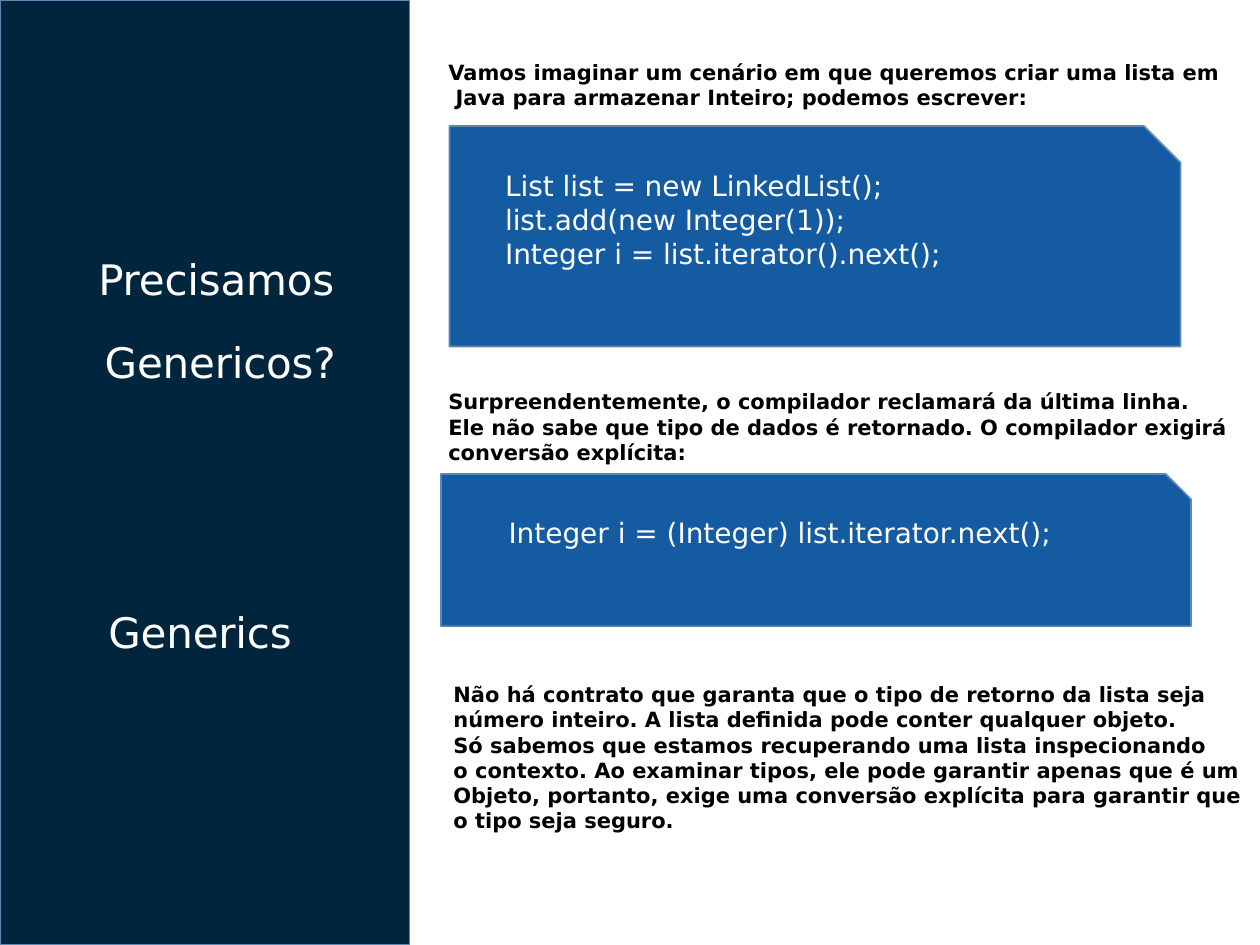
import dataclasses
import pptx
import pptx.dml.color
import pptx.enum.shapes
import pptx.enum.text
import pptx.util

Pt = pptx.util.Pt
RGB = pptx.dml.color.RGBColor.from_string
Shape = pptx.enum.shapes.MSO_SHAPE
Anchor = pptx.enum.text.MSO_ANCHOR
Align = pptx.enum.text.PP_ALIGN
Fit = pptx.enum.text.MSO_AUTO_SIZE


@dataclasses.dataclass(frozen=True)
class Theme:
    """Hold the colours, font and type sizes."""
    navy: str = "00253C"
    blue: str = "145BA2"
    edge: str = "5C87B1"
    white: str = "FFFFFF"
    black: str = "000000"
    font: str = "DejaVu Sans"
    head: int = 24
    code: int = 16
    note: int = 12


THEME = Theme()


def write(frame, text, size, color, bold=False, wrap=False, anchor=Anchor.TOP,
          inset=(7.2, 3.6, 7.2, 3.6), indents=(), hang=0, track=0):
    """Fill a text frame with one paragraph per line of text."""
    frame.word_wrap = wrap
    frame.auto_size = Fit.SHAPE_TO_FIT_TEXT
    frame.vertical_anchor = anchor
    (frame.margin_left, frame.margin_top,
     frame.margin_right, frame.margin_bottom) = map(Pt, inset)
    for i, line in enumerate(text.split("\n")):
        para = frame.paragraphs[0] if i == 0 else frame.add_paragraph()
        para.alignment = Align.LEFT
        para.space_before = Pt(0)
        if i < len(indents):
            props = para._p.get_or_add_pPr()
            props.set("marL", str(Pt(indents[i])))
            props.set("indent", str(Pt(hang)))
        run = para.add_run()
        run.text = line
        font = run.font
        font.name, font.size, font.bold = THEME.font, Pt(size), bold
        font.color.rgb = RGB(color)
        if track:
            run._r.get_or_add_rPr().set("spc", str(track))


def block(slide, kind, box, fill):
    """Draw a filled shape with a thin edge."""
    shape = slide.shapes.add_shape(kind, *map(Pt, box))
    shape.shadow.inherit = False
    shape.fill.solid()
    shape.fill.fore_color.rgb = RGB(fill)
    shape.line.color.rgb = RGB(THEME.edge)
    shape.line.width = Pt(1)


def panel(slide, box, labels):
    """Draw the side panel, its title and the labels under it."""
    block(slide, Shape.RECTANGLE, box, THEME.navy)
    left, top = box[:2]
    for i, (text, x, y) in enumerate(labels):
        place = [Pt(n) for n in (left + x, top + y, 201, 30)]
        if i == 0:
            label = slide.shapes.title
            label.element.getparent().append(label.element)
            label.left, label.top, label.width, label.height = place
        else:
            label = slide.shapes.add_textbox(*place)
        write(label.text_frame, text, THEME.head, THEME.white, wrap=True,
              anchor=Anchor.MIDDLE, inset=(0, 0.9, 0, 0),
              indents=(131.8,), hang=-88.6, track=-10)


def note(slide, box, text, indents=()):
    """Place a bold passage."""
    area = slide.shapes.add_textbox(*map(Pt, box))
    write(area.text_frame, text, THEME.note, THEME.black, bold=True,
          indents=indents)


def card(slide, box, inner, text):
    """Draw a snipped card with code inside it."""
    block(slide, Shape.SNIP_1_RECTANGLE, box, THEME.blue)
    x, y, width, height = inner
    area = slide.shapes.add_textbox(
        Pt(box[0] + x), Pt(box[1] + y), Pt(width), Pt(height))
    write(area.text_frame, text, THEME.code, THEME.white)


def main():
    """Build and save the slide."""
    deck = pptx.Presentation()
    deck.slide_width, deck.slide_height = Pt(720), Pt(540)
    slide = deck.slides.add_slide(deck.slide_layouts[5])
    panel(slide, (0, 0, 234, 540), [
        ("Precisamos", 13, 144),
        ("Genericos?", 16.6, 191.5),
        ("Generics", 18.7, 345.6),
    ])
    note(slide, (249.1, 30.4, 456, 36),
         "Vamos imaginar um cenário em que queremos criar uma lista em\n"
         "Java para armazenar Inteiro; podemos escrever:", indents=(0, 4.2))
    card(slide, (256.8, 72, 417.8, 126), (24.7, 21, 264, 65.5),
         "List list = new LinkedList();\n"
         "list.add(new Integer(1));\n"
         "Integer i = list.iterator().next();")
    note(slide, (249.1, 218.7, 464.4, 51),
         "Surpreendentemente, o compilador reclamará da última linha.\n"
         "Ele não sabe que tipo de dados é retornado. O compilador exigirá\n"
         "conversão explícita:")
    card(slide, (252, 270.8, 428.6, 87), (31.5, 20.2, 325.4, 26.6),
         "Integer i = (Integer) list.iterator.next();")
    note(slide, (252, 386, 469.4, 94.3),
         "Não há contrato que garanta que o tipo de retorno da lista seja\n"
         "número inteiro. A lista definida pode conter qualquer objeto.\n"
         "Só sabemos que estamos recuperando uma lista inspecionando\n"
         "o contexto. Ao examinar tipos, ele pode garantir apenas que é um\n"
         "Objeto, portanto, exige uma conversão explícita para garantir que\n"
         "o tipo seja seguro.")
    deck.save("out.pptx")


if __name__ == "__main__":
    main()
